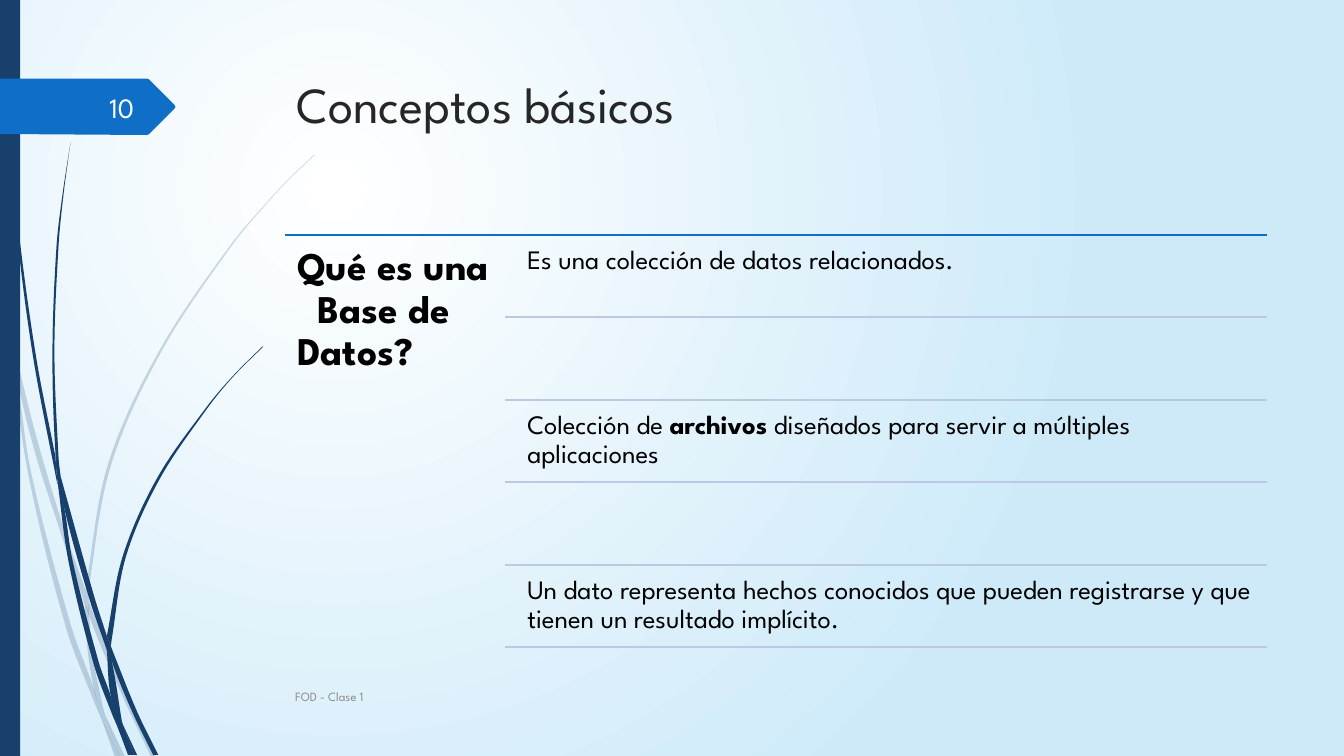
"""Build the "Conceptos básicos" slide with its curved strands and ruled statements."""
from dataclasses import dataclass

from lxml.etree import SubElement
from pptx import Presentation
from pptx.dml.color import RGBColor
from pptx.enum.shapes import MSO_CONNECTOR as Link, MSO_SHAPE as Preset
from pptx.enum.text import MSO_ANCHOR as Anchor, MSO_AUTO_SIZE as AutoSize, PP_ALIGN as Align
from pptx.oxml.ns import qn
from pptx.util import Emu, Inches, Pt

COLS, ROWS = 13.33, 7.5
CELL = Inches(1)
FONT = "League Spartan"
COLORS = {"white": "FFFFFF", "sky": "CEEAF9", "navy": "17406D", "blue": "0F6FC6",
          "rule": "BDC8E5", "title": "262626", "text": "000000", "footer": "8C8C8C",
          "number": "FEFFFF"}
LEFT, RIGHT, TOP, BOTTOM = 2.83, 12.57, 2.33, 6.42
ROW = (BOTTOM - TOP) / 5
RULE_LEFT, TEXT_LEFT, TEXT_WIDTH = 5.01, 5.15, 7.42

Point = tuple[float, float]


@dataclass
class Box:
    col: float
    row: float
    width: float
    height: float

    def emu(self) -> list[Emu]:
        return [cells(v) for v in (self.col, self.row, self.width, self.height)]


@dataclass
class Strand:
    left: list[Point]
    right: list[Point]


@dataclass
class Statement:
    row: int
    text: str
    strong: str = ""


PALE = [
    Strand([(0, 2.99), (0.1, 3.44), (0.11, 3.5)], [(0, 2.82), (0.09, 3.22), (0.11, 3.5)]),
    Strand([(0.14, 3.45), (0.17, 3.76), (0.35, 4.5), (0.58, 5.22), (0.84, 5.99)],
           [(0.14, 3.45), (0.36, 4.33), (0.62, 5.2), (0.85, 5.86)]),
    Strand([(0.88, 5.96), (0.88, 6.1), (1.23, 6.94), (1.5, 7.51)],
           [(0.88, 5.96), (0.92, 6.07), (1.27, 6.92), (1.55, 7.51)]),
    Strand([(1.05, 7.11), (1.19, 7.51)], [(1.05, 7.11), (1.24, 7.51)]),
    Strand([(0.11, 3.5), (0.28, 4.7), (0.65, 6.21), (0.92, 6.93), (1.01, 7.14)],
           [(0.11, 3.5), (0.17, 3.76), (0.31, 4.69), (0.7, 6.19), (0.93, 6.83), (0.99, 7.07)]),
    Strand([(0.84, 5.99), (0.87, 6.46), (0.93, 6.83), (0.96, 6.92), (1.05, 7.11)],
           [(0.84, 5.99), (0.88, 6.08), (0.91, 6.46), (1.03, 7.06)]),
    Strand([(3.12, 1.53), (2.89, 1.75), (2.68, 1.97), (2.28, 2.44), (1.58, 3.48), (1.07, 4.61),
            (0.85, 5.84), (0.85, 5.86)],
           [(3.12, 1.54), (2.9, 1.75), (2.68, 1.98), (2.29, 2.45), (1.6, 3.49), (1.1, 4.62),
            (0.88, 5.84), (0.88, 5.96)]),
    Strand([(1.01, 7.14), (1.14, 7.51)], [(1.01, 7.14), (1.19, 7.51)]),
    Strand([(0.85, 5.86), (0.84, 5.99)], [(0.88, 5.96), (0.88, 6.1)]),
    Strand([(0.93, 6.83), (0.99, 7.07), (1.01, 7.14), (1.19, 7.51)],
           [(0.93, 6.83), (0.96, 6.92), (1.05, 7.11), (1.19, 7.51)]),
]
DARK = [
    Strand([(0.03, 0), (0.04, 0.48), (0.07, 1.1), (0.17, 2.33), (0.33, 3.55), (0.57, 4.81)],
           [(0.04, 0), (0.05, 0.48), (0.08, 1.09), (0.19, 2.32), (0.36, 3.55), (0.55, 4.53)]),
    Strand([(0.6, 4.72), (0.64, 5.05), (0.88, 5.92), (1.06, 6.45)],
           [(0.6, 4.72), (0.93, 5.9), (1.06, 6.31)]),
    Strand([(1.1, 6.41), (1.11, 6.56), (1.32, 7.08), (1.52, 7.49)],
           [(1.1, 6.41), (1.13, 6.49), (1.36, 7.06), (1.57, 7.49)]),
    Strand([(0.57, 4.77), (0.68, 5.57), (0.93, 6.59), (1.11, 7.08), (1.17, 7.22)],
           [(0.57, 4.77), (0.64, 5.05), (0.72, 5.56), (0.98, 6.57), (1.1, 6.91), (1.16, 7.17)]),
    Strand([(0.7, 1.41), (0.62, 1.93), (0.56, 2.45), (0.52, 3.49), (0.55, 4.49), (0.6, 4.72)],
           [(0.7, 1.41), (0.63, 1.93), (0.58, 2.45), (0.54, 3.49), (0.58, 4.53), (0.6, 4.72)]),
    Strand([(1.22, 7.19), (1.33, 7.49)], [(1.22, 7.19), (1.36, 7.49)]),
    Strand([(0.55, 4.49), (0.57, 4.77), (0.64, 5.05)], [(0.55, 4.49), (0.6, 4.72), (0.64, 5.05)]),
    Strand([(2.6, 3.44), (2.31, 3.73), (2.04, 4.05), (1.56, 4.74), (1.22, 5.51), (1.06, 6.31)],
           [(2.61, 3.44), (2.31, 3.74), (2.05, 4.06), (1.58, 4.76), (1.25, 5.52), (1.11, 6.33),
            (1.1, 6.41)]),
    Strand([(1.17, 7.22), (1.27, 7.49)], [(1.17, 7.22), (1.31, 7.49)]),
    Strand([(1.06, 6.45), (1.1, 6.91), (1.22, 7.19)], [(1.06, 6.45), (1.11, 6.56), (1.21, 7.16)]),
    Strand([(1.06, 6.31), (1.06, 6.45)], [(1.1, 6.41), (1.11, 6.56)]),
    Strand([(1.1, 6.91), (1.17, 7.22), (1.3, 7.49)], [(1.1, 6.91), (1.22, 7.19), (1.33, 7.49)]),
]
TAB = [(0, 0.78), (1.46, 0.78), (1.48, 0.79), (1.73, 1.04), (1.74, 1.06), (1.73, 1.08),
       (1.48, 1.33), (1.46, 1.34), (0, 1.33)]
STATEMENTS = [
    Statement(0, "Es una colección de datos relacionados."),
    Statement(2, "Colección de archivos diseñados para servir a múltiples aplicaciones", "archivos"),
    Statement(4, "Un dato representa hechos conocidos que pueden registrarse y que tienen "
                 "un resultado implícito."),
]


def cells(count: float) -> Emu:
    return Emu(round(count * CELL))


def rgb(name: str) -> RGBColor:
    return RGBColor.from_string(COLORS[name])


def bend(points: list[Point]) -> list[Point]:
    knots = [complex(*pt) for pt in points]
    padded = [knots[0], *knots, knots[-1]]
    slopes = [(c - a) / (abs(c - b) + abs(b - a))
              for a, b, c in zip(padded, padded[1:], padded[2:])]
    curve = []
    for b, c, start, end in zip(knots, knots[1:], slopes, slopes[1:]):
        reach = abs(c - b) / 3
        curve += [b + start * reach, c - end * reach, c]
    return [(z.real, z.imag) for z in curve]


def paint(sp, color: str) -> None:
    sp.shadow.inherit = False
    sp.fill.solid()
    sp.fill.fore_color.rgb = rgb(color)
    sp.line.fill.background()


def draw_background(s) -> None:
    fill = s.background.fill
    fill.gradient()
    for stop, color in zip(fill.gradient_stops, ("white", "sky")):
        stop.color.rgb = rgb(color)
    grad = s.element.find(".//" + qn("a:gradFill"))
    grad.remove(grad.find(qn("a:lin")))
    focus = SubElement(grad, qn("a:path"), path="circle")
    SubElement(focus, qn("a:fillToRect"), l="50000", t="50000", r="100000", b="100000")


def draw_outline(s, points: list[Point], color: str):
    first, *rest = [(cells(x), cells(y)) for x, y in points]
    builder = s.shapes.build_freeform(*first)
    builder.add_line_segments(rest, close=True)
    sp = builder.convert_to_shape()
    paint(sp, color)
    return sp


def draw_strand(s, strand: Strand, alpha: int) -> None:
    end = strand.right[-1]
    sp = draw_outline(s, [strand.left[0], *bend(strand.left), end, end, end,
                          *bend(strand.right[::-1])], "navy")
    geom = sp.element.spPr.find(".//" + qn("a:path"))
    steps = geom.findall(qn("a:lnTo"))
    for trio in zip(steps[::3], steps[1::3], steps[2::3]):
        curve = SubElement(geom, qn("a:cubicBezTo"))
        for step in trio:
            curve.append(step[0])
            geom.remove(step)
    geom.append(geom.find(qn("a:close")))
    if alpha < 100:
        SubElement(sp.element.spPr.find(".//" + qn("a:srgbClr")), qn("a:alpha"),
                   val=str(alpha * 1000))


def draw_rule(s, left: float, row: float, color: str) -> None:
    line = s.shapes.add_connector(Link.STRAIGHT, cells(left), cells(row), cells(RIGHT), cells(row))
    line.line.color.rgb = rgb(color)
    line.line.width = Pt(1.25)
    SubElement(line.element.spPr, qn("a:effectLst"))


def write(s, box: Box, *texts: str, size: float, color: str, bold: bool = False,
          strong: str = "", align=Align.LEFT, anchor=Anchor.TOP, inset: float | None = None,
          spacing: float = 1, indent: float = 0, sp=None) -> None:
    sp = sp or s.shapes.add_textbox(*box.emu())
    sp.left, sp.top, sp.width, sp.height = box.emu()
    tf = sp.text_frame
    tf.word_wrap, tf.auto_size, tf.vertical_anchor = True, AutoSize.NONE, anchor
    if inset is not None:
        tf.margin_left = tf.margin_top = tf.margin_right = tf.margin_bottom = cells(inset)
    for i, text in enumerate(texts):
        p = tf.add_paragraph() if i else tf.paragraphs[0]
        p.alignment, p.line_spacing, p.space_before = align, spacing, Pt(0)
        if i and indent:
            p._p.get_or_add_pPr().set("indent", str(cells(indent)))
        for part in text.partition(strong) if strong else (text,):
            r = p.add_run()
            r.text, r.font.name, r.font.size = part, FONT, Pt(size)
            r.font.bold = bold or part == strong
            r.font.color.rgb = rgb(color)


def main() -> None:
    prs = Presentation()
    prs.slide_width, prs.slide_height = cells(COLS), cells(ROWS)
    s = prs.slides.add_slide(prs.slide_layouts[5])
    draw_background(s)
    for strands, alpha in ((PALE, 20), (DARK, 100)):
        for strand in strands:
            draw_strand(s, strand, alpha)
    paint(s.shapes.add_shape(Preset.RECTANGLE, *Box(0, 0, 0.2, ROWS).emu()), "navy")
    draw_outline(s, TAB, "blue")
    write(s, Box(2.84, 0.68, 9.75, 1.4), "Conceptos básicos", size=36, color="title",
          sp=s.shapes.title)
    draw_rule(s, LEFT, TOP, "blue")
    write(s, Box(LEFT, TOP, 2.18, 4.13), "Qué es una", "Base de Datos?", size=28, color="text",
          bold=True, inset=0.12, spacing=0.9, indent=0.2)
    for i in range(1, 6):
        draw_rule(s, RULE_LEFT, TOP + i * ROW, "rule")
    for item in STATEMENTS:
        write(s, Box(TEXT_LEFT, TOP + item.row * ROW + 0.04, TEXT_WIDTH, 0.78), item.text,
              size=19, color="text", strong=item.strong, inset=0.08, spacing=0.9)
    write(s, Box(LEFT, 6.71, 8.33, 0.4), "FOD - Clase 1", size=9, color="footer",
          anchor=Anchor.MIDDLE)
    write(s, Box(0.58, 0.86, 0.85, 0.4), "10", size=20, color="number", align=Align.RIGHT,
          anchor=Anchor.MIDDLE)
    prs.save("out.pptx")


main() if __name__ == "__main__" else None
